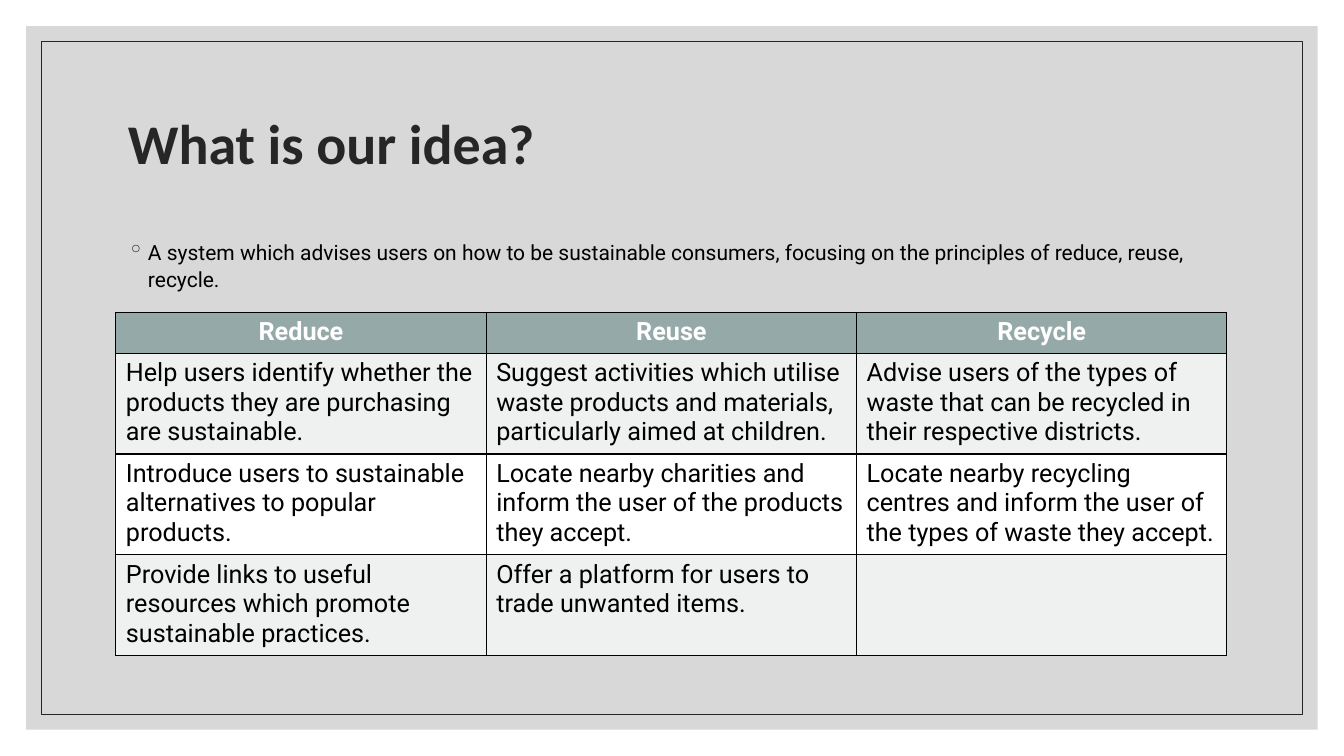
from dataclasses import dataclass
from typing import Optional

from lxml.etree import SubElement
from pptx import Presentation
from pptx.dml.color import RGBColor
from pptx.enum.shapes import MSO_SHAPE
from pptx.enum.text import MSO_ANCHOR, PP_ALIGN
from pptx.oxml.ns import qn
from pptx.util import Cm, Pt

WIDE, HIGH = 33.87, 19.05
LEFT, SPAN = 2.97, 27.94
DARK, BLACK, WHITE = "262626", "000000", "FFFFFF"
HEAD, BAND = "96A9A9", "EFF1F1"


@dataclass
class Panel:
    inset: float
    fill: Optional[str] = None
    alpha: int = 100
    line: Optional[str] = None


PANELS = [Panel(0.66, fill="BFBFBF", alpha=60), Panel(1.04, line=DARK)]

IDEA = ("A system which advises users on how to be sustainable consumers, "
        "focusing on the principles of reduce, reuse, recycle.")

ROWS = [
    ["Reduce", "Reuse", "Recycle"],
    ["Help users identify whether the products they are purchasing are sustainable.",
     "Suggest activities which utilise waste products and materials, "
     "particularly aimed at children.",
     "Advise users of the types of waste that can be recycled in their respective districts."],
    ["Introduce users to sustainable alternatives to popular products.",
     "Locate nearby charities and inform the user of the products they accept.",
     "Locate nearby recycling centres and inform the user of the types of waste they accept."],
    ["Provide links to useful resources which promote sustainable practices.",
     "Offer a platform for users to trade unwanted items.",
     ""],
]


def color(code: str) -> RGBColor:
    return RGBColor.from_string(code)


def style(para, face: str, size: float, code: str, bold: bool = False) -> None:
    font = para.font
    font.name, font.size, font.bold = face, Pt(size), bold
    font.color.rgb = color(code)


def place(shape, left: float, top: float, width: float, height: float) -> None:
    shape.left, shape.top = Cm(left), Cm(top)
    shape.width, shape.height = Cm(width), Cm(height)


def add_panel(slide, panel: Panel) -> None:
    gap = panel.inset
    box = slide.shapes.add_shape(MSO_SHAPE.RECTANGLE, Cm(gap), Cm(gap),
                                 Cm(WIDE - 2 * gap), Cm(HIGH - 2 * gap))
    box.shadow.inherit = False
    if panel.fill:
        box.fill.solid()
        box.fill.fore_color.rgb = color(panel.fill)
        tint = box.element.spPr.find(qn("a:solidFill"))[0]
        SubElement(tint, qn("a:alpha"), val=str(panel.alpha * 1000))
    else:
        box.fill.background()
    if panel.line:
        box.line.color.rgb = color(panel.line)
        box.line.width = Pt(0.5)
    else:
        box.line.fill.background()
    # Keep the panels behind the title
    slide.shapes.title.element.addprevious(box.element)


def add_title(slide, text: str) -> None:
    title = slide.shapes.title
    place(title, LEFT, 1.78, SPAN, 3.81)
    frame = title.text_frame
    frame.text = text
    frame.vertical_anchor = MSO_ANCHOR.MIDDLE
    para = frame.paragraphs[0]
    para.alignment = PP_ALIGN.LEFT
    para.line_spacing = 0.9
    style(para, "Calibri", 40, DARK, True)


def add_point(slide, text: str) -> None:
    box = slide.shapes.add_textbox(Cm(LEFT), Cm(5.84), Cm(SPAN), Cm(1.5))
    frame = box.text_frame
    frame.word_wrap = True
    frame.text = text
    para = frame.paragraphs[0]
    para.line_spacing = 1.1
    para.space_before = Pt(9)
    style(para, "Roboto", 15, BLACK)
    # Hanging bullet, which goes ahead of the default run format
    props = para.font._element.getparent()
    props.set("marL", str(Cm(0.51)))
    props.set("indent", str(Cm(-0.51)))
    tint = SubElement(props, qn("a:buClr"))
    SubElement(tint, qn("a:srgbClr"), val=DARK)
    mark = SubElement(props, qn("a:buChar"), char="◦")
    props.find(qn("a:defRPr")).addprevious(tint)
    tint.addnext(mark)


def add_edges(cell) -> None:
    props = cell._tc.get_or_add_tcPr()
    for side in "LRTB":
        edge = SubElement(props, qn(f"a:ln{side}"), w=str(Pt(1)))
        fill = SubElement(edge, qn("a:solidFill"))
        SubElement(fill, qn("a:srgbClr"), val=BLACK)


def add_grid(slide, rows: list[list[str]]) -> None:
    top_row, row = 1.03, 2.5
    high = top_row + row * (len(rows) - 1)
    table = slide.shapes.add_table(len(rows), len(rows[0]), Cm(2.92), Cm(7.87),
                                   Cm(28), Cm(high)).table
    for y, texts in enumerate(rows):
        first = y == 0
        table.rows[y].height = Cm(top_row if first else row)
        for x, text in enumerate(texts):
            cell = table.cell(y, x)
            add_edges(cell)
            cell.fill.solid()
            cell.fill.fore_color.rgb = color(HEAD if first else BAND if y % 2 else WHITE)
            cell.text = text
            para = cell.text_frame.paragraphs[0]
            para.alignment = PP_ALIGN.CENTER if first else PP_ALIGN.LEFT
            style(para, "Roboto", 18, WHITE if first else BLACK, first)


def main() -> None:
    deck = Presentation()
    deck.slide_width, deck.slide_height = Cm(WIDE), Cm(HIGH)
    slide = deck.slides.add_slide(deck.slide_layouts.get_by_name("Title Only"))

    # Backdrop
    for panel in PANELS:
        add_panel(slide, panel)

    # Heading and lead
    add_title(slide, "What is our idea?")
    add_point(slide, IDEA)

    # Principles
    add_grid(slide, ROWS)
    deck.save("out.pptx")


if __name__ == "__main__":
    main()
